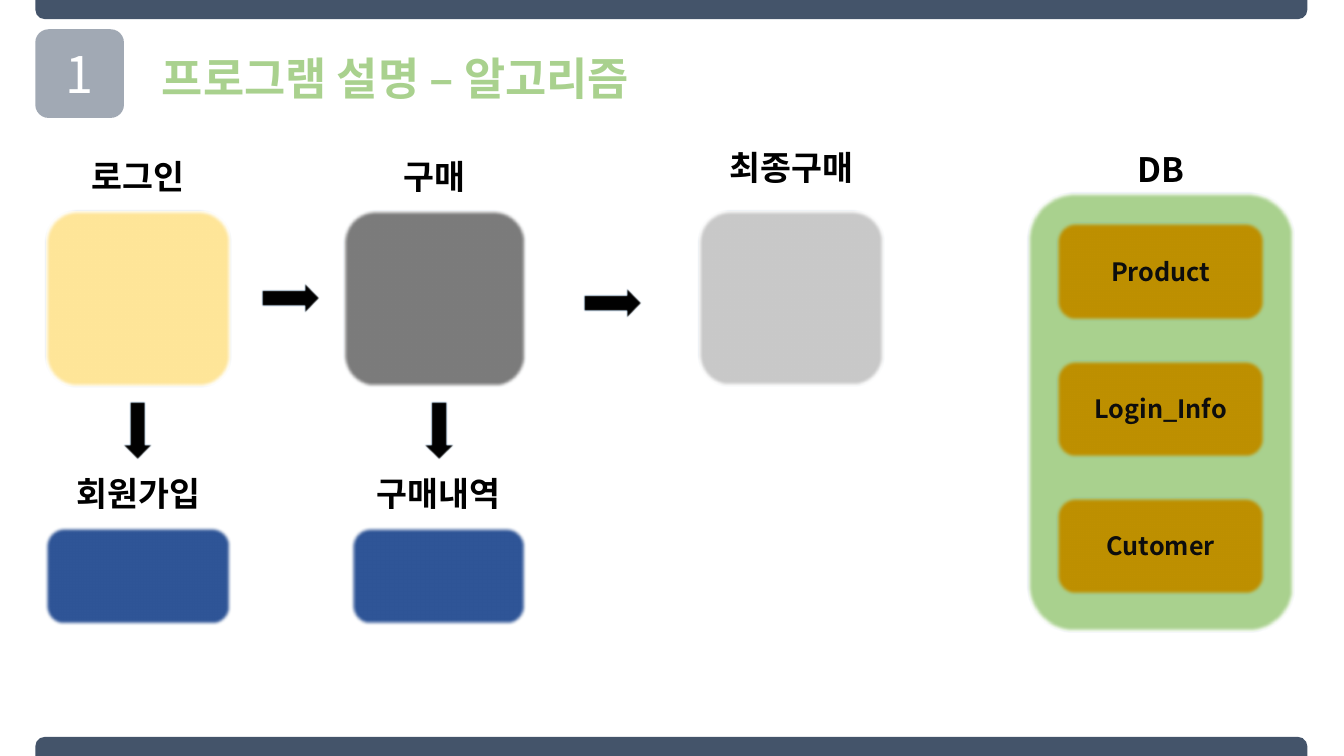
from lxml import etree
from pptx import Presentation
from pptx.dml.color import RGBColor
from pptx.enum.shapes import MSO_SHAPE as SHAPE
from pptx.enum.text import MSO_ANCHOR as ANCHOR, MSO_AUTO_SIZE as AUTO, PP_ALIGN as ALIGN
from pptx.oxml.ns import qn
from pptx.util import Inches, Pt

COLS, ROWS = 133.33, 75
CELL = Inches(0.1)
KR, SC = "Noto Sans CJK KR", "Noto Sans CJK SC"
SLATE = RGBColor(0x44, 0x54, 0x6A)
GREEN = RGBColor(0xA9, 0xD1, 0x8E)
YELLOW = RGBColor(0xFF, 0xE6, 0x99)
DARK_GRAY = RGBColor(0x7C, 0x7C, 0x7C)
LIGHT_GRAY = RGBColor(0xC9, 0xC9, 0xC9)
NAVY = RGBColor(0x2F, 0x55, 0x97)
GOLD = RGBColor(0xBF, 0x90, 0x00)
OUTLINE = RGBColor(0x43, 0x73, 0x9E)
BLACK = RGBColor(0, 0, 0)
INK = RGBColor(0x0D, 0x0D, 0x0D)
WHITE = RGBColor(0xFF, 0xFF, 0xFF)


def grid(*cells):
    return [round(c * CELL) for c in cells]


def add_run(tf, text, size, color, font=KR, bold=True):
    p = tf.paragraphs[0]
    p.alignment = ALIGN.CENTER
    r = p.add_run()
    r.text = text
    r.font.size, r.font.bold, r.font.name = Pt(size), bold, font
    r.font.color.rgb = color
    etree.SubElement(r.font._element, qn("a:ea")).set("typeface", font)


def add_block(slide, kind, box, color):
    sp = slide.shapes.add_shape(kind, *grid(*box))
    sp.shadow.inherit = False
    sp.fill.solid()
    sp.fill.fore_color.rgb = color
    sp.line.fill.background()
    sp.text_frame.vertical_anchor = ANCHOR.MIDDLE
    return sp


def add_soft_block(slide, kind, box, color, soft):
    sp = add_block(slide, kind, box, color)
    sp.line.color.rgb = OUTLINE
    sp.line.width = Pt(1)
    effects = sp._element.spPr.find(qn("a:effectLst"))
    etree.SubElement(effects, qn("a:softEdge")).set("rad", str(Pt(soft)))
    return sp


def add_label(slide, box, text, size, color):
    tf = slide.shapes.add_textbox(*grid(*box)).text_frame
    tf.word_wrap = False
    tf.auto_size = AUTO.SHAPE_TO_FIT_TEXT
    add_run(tf, text, size, color)


def add_bars(slide, left, width, height):
    for top, turn in ((0, 180), (ROWS - height, 0)):
        sp = add_block(slide, SHAPE.ROUND_2_SAME_RECTANGLE, (left, top, width, height), SLATE)
        sp.adjustments[0] = 0.5
        sp.rotation = turn


def add_heading(slide, box, number, title):
    left, top, width, side = box
    sp = add_block(slide, SHAPE.ROUNDED_RECTANGLE, (left, top, side, side), SLATE)
    sp.adjustments[0] = 0.149
    fill = sp._element.spPr.find(qn("a:solidFill"))
    etree.SubElement(fill[0], qn("a:alpha")).set("val", "50000")
    add_run(sp.text_frame, number, 36, WHITE, SC, False)
    add_label(slide, (left + side, top + 1.6, width - side, 6.4), title, 32, GREEN)


def add_step(slide, box, color, caption, caption_width, rise=5.9):
    left, top, width, _ = box
    add_soft_block(slide, SHAPE.ROUNDED_RECTANGLE, box, color, 2.5)
    middle = left + width / 2
    add_label(slide, (middle - caption_width / 2, top - rise, caption_width, 5),
              caption, 24, BLACK)


def add_arrow(slide, left, top, turn=0):
    sp = add_soft_block(slide, SHAPE.RIGHT_ARROW, (left, top, 5.7, 3.1), BLACK, 1)
    sp.rotation = turn


def add_database(slide, box, tables):
    left, top, width, _ = box
    add_step(slide, box, GREEN, "DB", 6.7, 4.8)
    for i, name in enumerate(tables):
        cell = (left + 2.9, top + 3 + 13.6 * i, width - 5.8, 9.7)
        sp = add_soft_block(slide, SHAPE.ROUNDED_RECTANGLE, cell, GOLD, 2.5)
        add_run(sp.text_frame, name, 18, INK)


def add_flow(slide, left, top):
    lower = top + 31.4
    add_step(slide, (left, top, 18.4, 17.5), YELLOW, "로그인", 13.3)
    add_step(slide, (left + 29.5, top, 18.2, 17.5), DARK_GRAY, "구매", 8.8)
    add_step(slide, (left + 64.8, top, 18.4, 17.4), LIGHT_GRAY, "최종구매", 16.7, 6.8)
    add_step(slide, (left, lower, 18.4, 9.7), NAVY, "회원가입", 15.5)
    add_step(slide, (left + 30.3, lower, 17.4, 9.7), NAVY, "구매내역", 15.5)
    add_arrow(slide, left + 21.5, top + 7.1)
    add_arrow(slide, left + 53.5, top + 7.6)
    for offset in (6.3, 36.2):
        add_arrow(slide, left + offset, top + 20.3, 90)


def main():
    prs = Presentation()
    prs.slide_width, prs.slide_height = grid(COLS, ROWS)
    slide = prs.slides.add_slide(prs.slide_layouts[6])
    add_bars(slide, 3.5, 126.2, 1.9)
    add_heading(slide, (3.5, 2.9, 62.7, 8.8), "1", "프로그램 설명 – 알고리즘")
    add_flow(slide, 4.5, 20.9)
    add_database(slide, (101.9, 19.1, 26.5, 43.6), ("Product", "Login_Info", "Cutomer"))
    prs.save("out.pptx")


if __name__ == "__main__":
    main()
